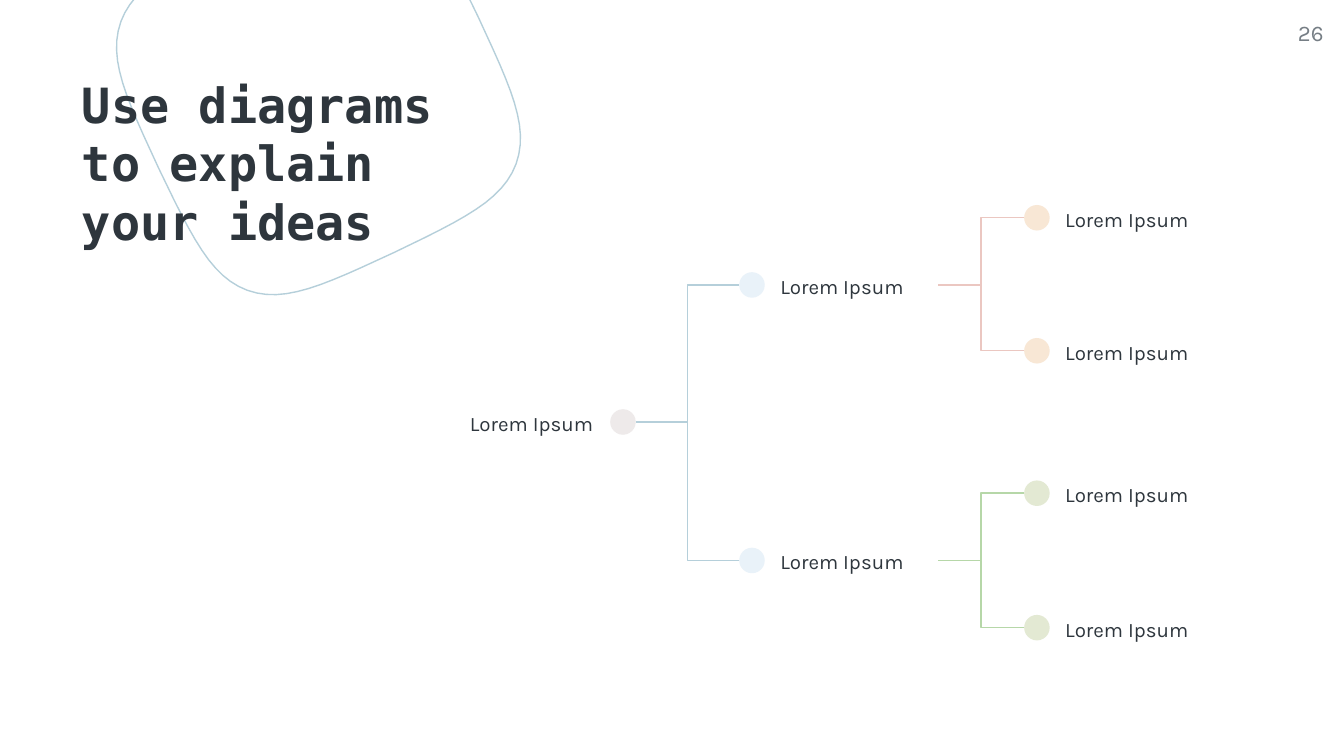
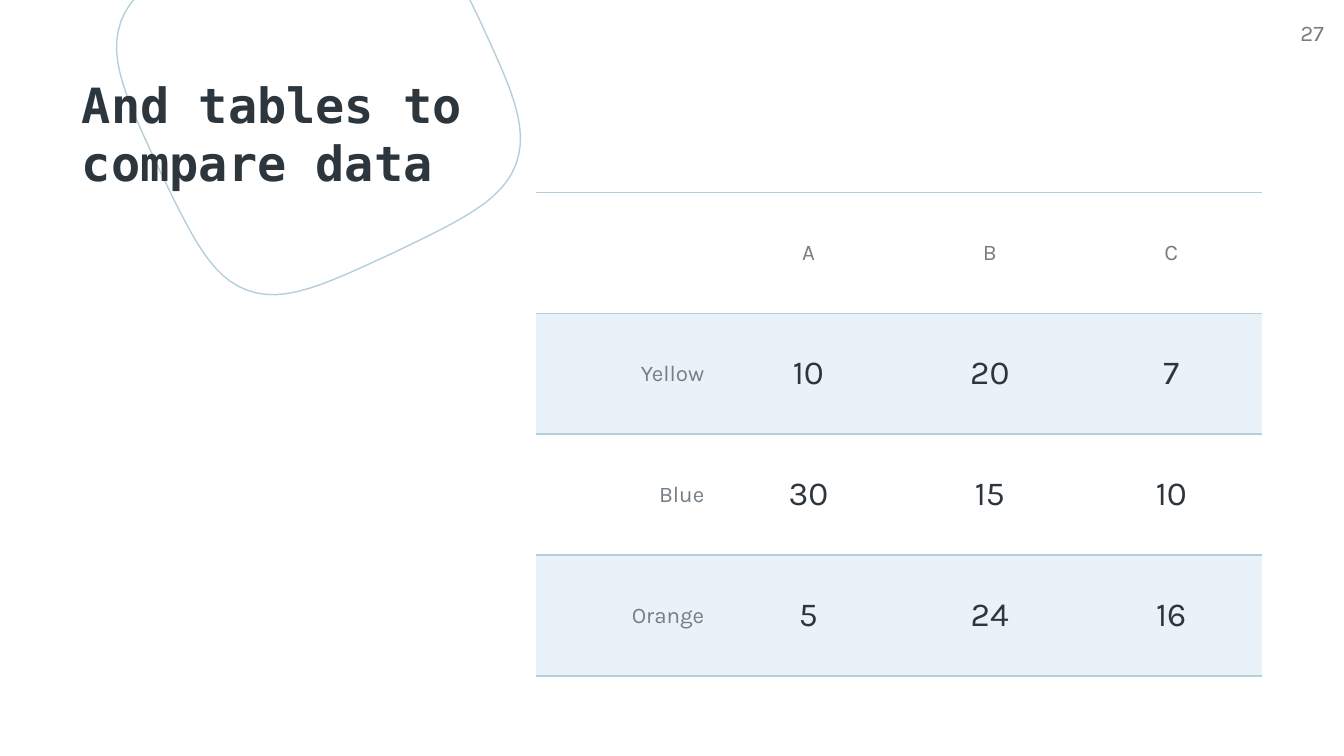
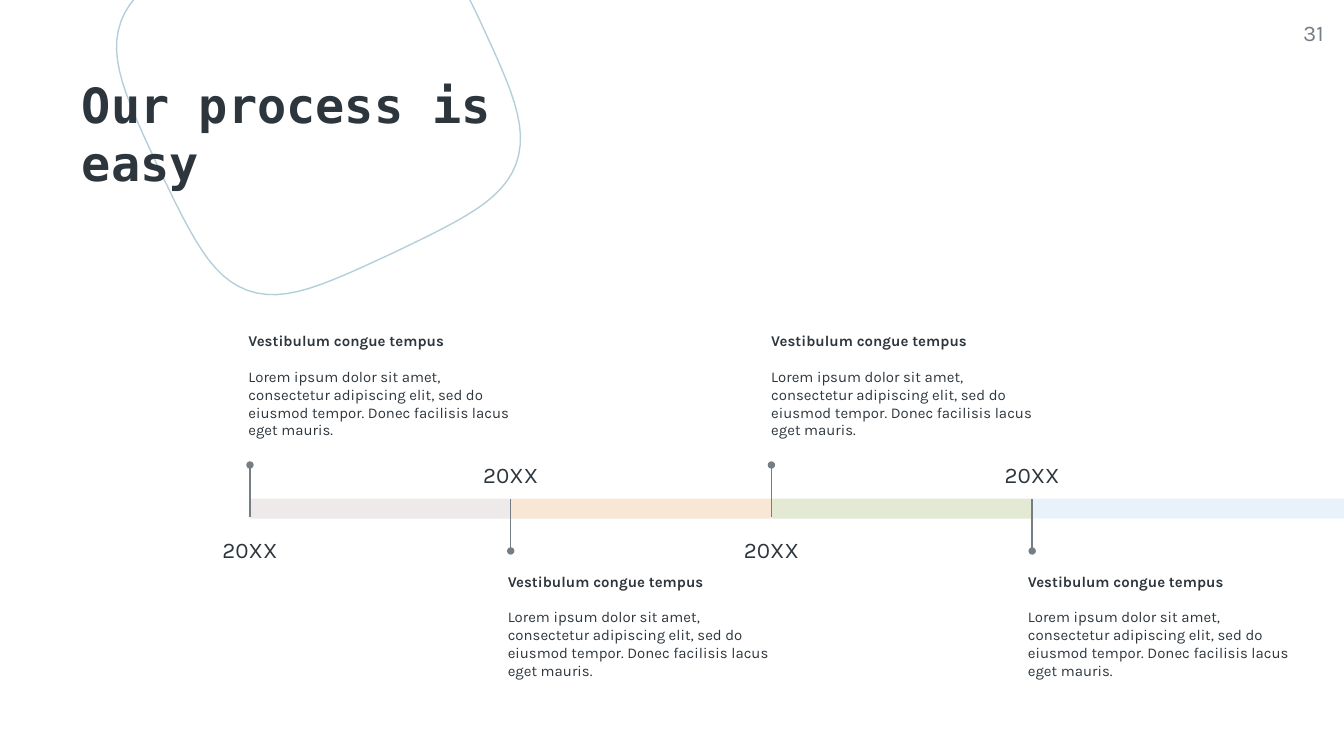
import pptx
import pptx.util
import pptx.dml.color
import pptx.enum.shapes
import pptx.enum.text
import pptx.oxml
import pptx.oxml.ns

Inches, Pt = pptx.util.Inches, pptx.util.Pt
MSO_SHAPE = pptx.enum.shapes.MSO_SHAPE
MSO_CONNECTOR = pptx.enum.shapes.MSO_CONNECTOR
MSO_ANCHOR = pptx.enum.text.MSO_ANCHOR
PP_ALIGN = pptx.enum.text.PP_ALIGN
RGB = pptx.dml.color.RGBColor.from_string
qn = pptx.oxml.ns.qn


class Theme:
    title_font, body_font = "DejaVu Sans Mono", "Karla"
    ink, muted, rule = "2E363D", "767E85", "B5CFDA"
    grey, peach, green, sky = "EEEAEA", "F8E7D5", "E3E9D3", "E9F2F9"
    pink_line, green_line = "EBC7C1", "B6D7A8"
    title, value, label, node, note = 26, 18, 12, 11, 8
    line = 0.75


def write(tf, text, size=Theme.label, color=Theme.ink, font=Theme.body_font, bold=False,
          align=PP_ALIGN.LEFT, anchor=MSO_ANCHOR.TOP, margin=0.1, spacing=None, after=None):
    """Add one paragraph to a text frame, filling the first one if it is empty."""
    tf.word_wrap = True
    tf.auto_size = pptx.enum.text.MSO_AUTO_SIZE.NONE
    tf.vertical_anchor = anchor
    tf.margin_left = tf.margin_right = tf.margin_top = tf.margin_bottom = Inches(margin)
    p = tf.add_paragraph() if tf.text else tf.paragraphs[0]
    p.alignment, p.line_spacing = align, spacing
    if after is not None:
        p.space_after = Pt(after)
    r = p.add_run()
    r.text = text
    r.font.name, r.font.size, r.font.bold = font, Pt(size), bold
    r.font.color.rgb = RGB(color)


def style(sp, fill=None, line=None):
    """Give a shape or connector a flat fill and line, with no shadow."""
    if fill:
        sp.fill.solid()
        sp.fill.fore_color.rgb = RGB(fill)
    elif hasattr(sp, "fill"):
        sp.fill.background()
    if line:
        sp.line.color.rgb = RGB(line)
        sp.line.width = Pt(Theme.line)
    else:
        sp.line.fill.background()
    sp.element.spPr.append(pptx.oxml.parse_xml(f"<a:effectLst {pptx.oxml.ns.nsdecls('a')}/>"))


# Widescreen deck, 16:9
prs = pptx.Presentation()
prs.slide_width = Inches(10)
prs.slide_height = Inches(10) * 9 // 16

# Shared layout: title position
layout = prs.slide_layouts[5]
title = layout.placeholders[0]
title.left, title.top = Inches(0.61), Inches(0.56)
title.width, title.height = Inches(3.09), Inches(0.5)

# Slides with title and page number
slides = []
for heading, page in [("Use diagrams to explain your ideas", "26"),
                      ("And tables to compare data", "27"),
                      ("Our process is easy", "31")]:
    s = prs.slides.add_slide(layout)
    write(s.shapes.title.text_frame, heading, size=Theme.title, font=Theme.title_font,
          bold=True, margin=0)
    sp = s.shapes.add_textbox(Inches(9.25), Inches(0.14), Inches(0.6), Inches(0.43))
    write(sp.text_frame, page, color=Theme.muted, align=PP_ALIGN.RIGHT, margin=0)
    slides.append(s)
diagram, comparison, process = slides

# Shared layout: rounded outline, two curves turned through four quarters
center_x, center_y, steps = 2.37, 0.69, 12
curves = [[(0.56, 1.19), (1.08, 0.94), (1.37, 0.8), (1.47, 0.53)],
          [(1.47, 0.53), (1.57, 0.25), (1.43, -0.04), (1.19, -0.56)]]
points = []
for quarter in range(4):
    for curve in curves:
        for i in range(steps):
            t = i / steps
            weights = [(1 - t) ** 3, 3 * t * (1 - t) ** 2, 3 * t * t * (1 - t), t ** 3]
            x = sum(w * px for w, (px, py) in zip(weights, curve))
            y = sum(w * py for w, (px, py) in zip(weights, curve))
            points.append((Inches(center_x + x), Inches(center_y + y)))
    curves = [[(y, -x) for x, y in curve] for curve in curves]
builder = diagram.shapes.build_freeform(*points[0])
builder.add_line_segments(points[1:], close=True)
outline = builder.convert_to_shape()
style(outline, line=Theme.rule)
outline.element.nvSpPr.cNvPr.id = 20
layout.shapes.element.append(outline.element)

# Diagram: elbow links
dot, label_w, label_h = 0.19, 1.29, 0.35
root_x, branch_x, leaf_x = 4.54, 5.5, 7.62
branch_end = branch_x + dot + label_w
for x1, y1, x2, ends, color in [
        (root_x + dot, 3.14, branch_x, (4.17, 2.12), Theme.rule),
        (branch_end, 2.12, leaf_x, (1.62, 2.61), Theme.pink_line),
        (branch_end, 4.17, leaf_x, (3.67, 4.67), Theme.green_line)]:
    for y2 in ends:
        link = diagram.shapes.add_connector(MSO_CONNECTOR.ELBOW, Inches(x1), Inches(y1),
                                            Inches(x2), Inches(y2))
        style(link, line=color)

# Diagram: dots with labels
for x, y, color in [(root_x, 3.14, Theme.grey),
                    (branch_x, 2.12, Theme.sky), (branch_x, 4.17, Theme.sky),
                    (leaf_x, 1.62, Theme.peach), (leaf_x, 2.61, Theme.peach),
                    (leaf_x, 3.67, Theme.green), (leaf_x, 4.67, Theme.green)]:
    is_root = x == root_x
    label_x = x - label_w - 0.01 if is_root else x + dot
    label = diagram.shapes.add_shape(MSO_SHAPE.ROUNDED_RECTANGLE, Inches(label_x),
                                     Inches(y + 0.01 - label_h / 2),
                                     Inches(label_w), Inches(label_h))
    style(label)
    write(label.text_frame, "Lorem Ipsum", size=Theme.node, anchor=MSO_ANCHOR.MIDDLE,
          align=PP_ALIGN.RIGHT if is_root else PP_ALIGN.LEFT)
    sp = diagram.shapes.add_shape(MSO_SHAPE.OVAL, Inches(x), Inches(y - dot / 2),
                                  Inches(dot), Inches(dot))
    style(sp, fill=color)

# Comparison table
rows = [("", "A", "B", "C"),
        ("Yellow", "10", "20", "7"),
        ("Blue", "30", "15", "10"),
        ("Orange", "5", "24", "16")]
col_w, row_h = 1.35, 0.9
table = comparison.shapes.add_table(4, 4, Inches(3.99), Inches(1.43),
                                    Inches(4 * col_w), Inches(4 * row_h)).table
table.first_row = table.horz_banding = False
solid = f'<a:solidFill><a:srgbClr val="{Theme.rule}"/></a:solidFill>'
for i, row in enumerate(rows):
    table.rows[i].height = Inches(row_h)
    table.columns[i].width = Inches(col_w)
    for j, text in enumerate(row):
        cell = table.cell(i, j)
        tcPr = cell._tc.get_or_add_tcPr()
        for side, paint in [("L", "<a:noFill/>"), ("R", "<a:noFill/>"), ("T", solid), ("B", solid)]:
            tcPr.append(pptx.oxml.parse_xml(
                f"<a:ln{side} {pptx.oxml.ns.nsdecls('a')} w=\"{Pt(Theme.line)}\">{paint}</a:ln{side}>"))
        if i % 2:
            cell.fill.solid()
            cell.fill.fore_color.rgb = RGB(Theme.sky)
        else:
            cell.fill.background()
        if text:
            is_header = i == 0 or j == 0
            write(cell.text_frame, text, size=Theme.label if is_header else Theme.value,
                  color=Theme.muted if is_header else Theme.ink,
                  align=PP_ALIGN.CENTER if j else PP_ALIGN.RIGHT)
        cell.vertical_anchor = MSO_ANCHOR.MIDDLE
        cell.margin_left = cell.margin_right = Inches(0.1)
        cell.margin_top = cell.margin_bottom = Inches(0.07)

# Process timeline: coloured bars
start_x, step_w, bar_y, bar_h = 1.86, 1.94, 3.71, 0.15
stops = [start_x + i * step_w for i in range(4)]
for x, end, color in zip(stops, stops[1:] + [10],
                         [Theme.grey, Theme.peach, Theme.green, Theme.sky]):
    bar = process.shapes.add_shape(MSO_SHAPE.RECTANGLE, Inches(x), Inches(bar_y),
                                   Inches(end - x), Inches(bar_h))
    style(bar, fill=color)

# Process timeline: pins, years and notes, in turn above and below the bars
year_w = 0.74
for i, (x, note_x) in enumerate(zip(stops, [1.75, 3.68, 5.64, 7.55])):
    if i % 2 == 0:
        pin_from, pin_to, year_y, note_y = 3.46, 3.85, 3.86, 2.37
    else:
        pin_from, pin_to, year_y, note_y = 4.1, 3.71, 3.3, 4.16
    pin = process.shapes.add_connector(MSO_CONNECTOR.STRAIGHT, Inches(x), Inches(pin_from),
                                       Inches(x), Inches(pin_to))
    style(pin, line=Theme.muted)
    pin.element.spPr.find(qn("a:ln")).append(pptx.oxml.parse_xml(
        f"<a:headEnd {pptx.oxml.ns.nsdecls('a')} type=\"oval\" w=\"sm\" len=\"sm\"/>"))
    year = process.shapes.add_textbox(Inches(x - year_w / 2), Inches(year_y),
                                      Inches(year_w), Inches(0.41))
    write(year.text_frame, "20XX", align=PP_ALIGN.CENTER, spacing=1.15)
    note = process.shapes.add_textbox(Inches(note_x), Inches(note_y), Inches(2.23), Inches(1.03))
    write(note.text_frame, "Vestibulum congue tempus", size=Theme.note, bold=True, after=9.4)
    write(note.text_frame, "Lorem ipsum dolor sit amet, consectetur adipiscing elit, sed do "
          "eiusmod tempor. Donec facilisis lacus eget mauris.", size=Theme.note)

prs.save("out.pptx")
